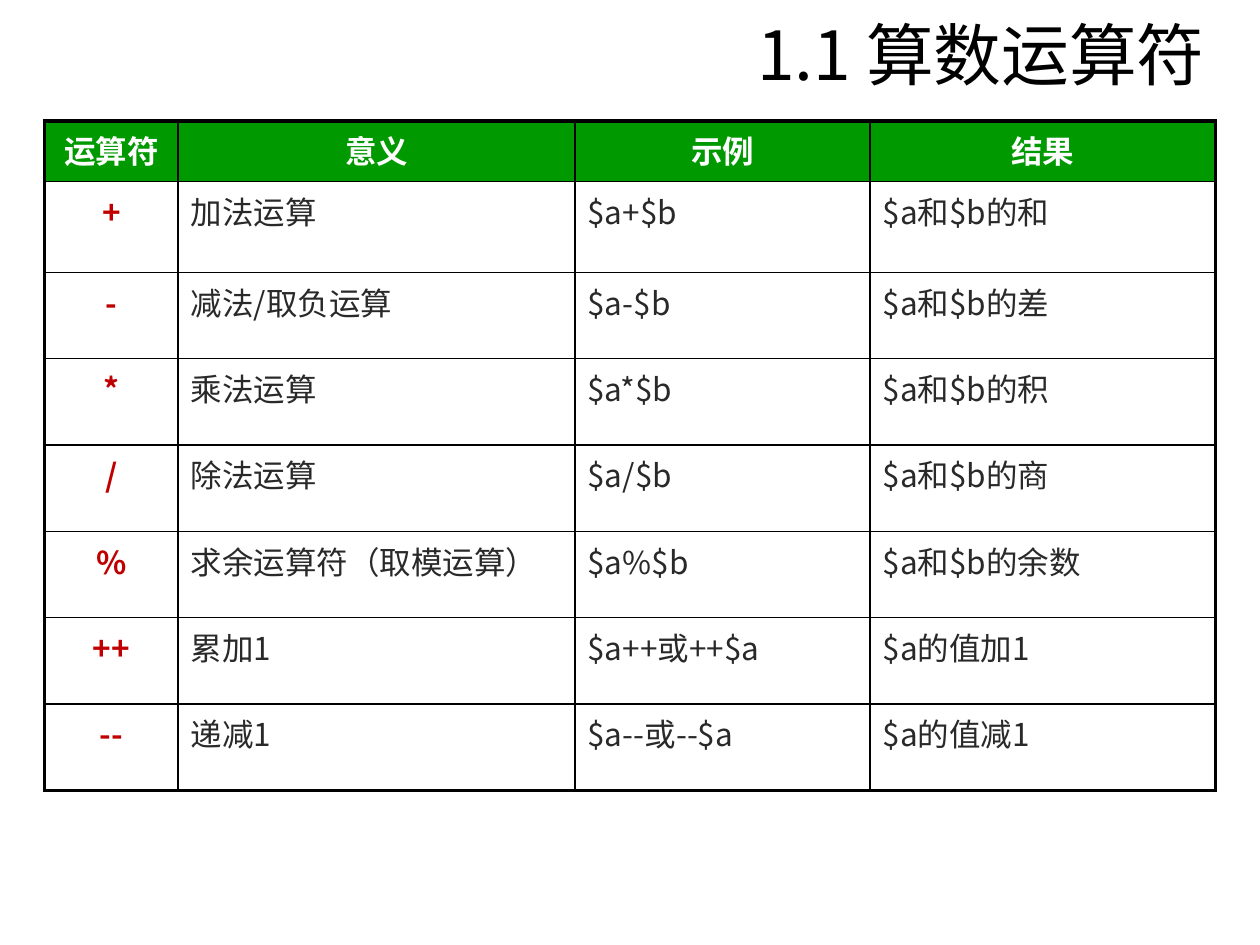
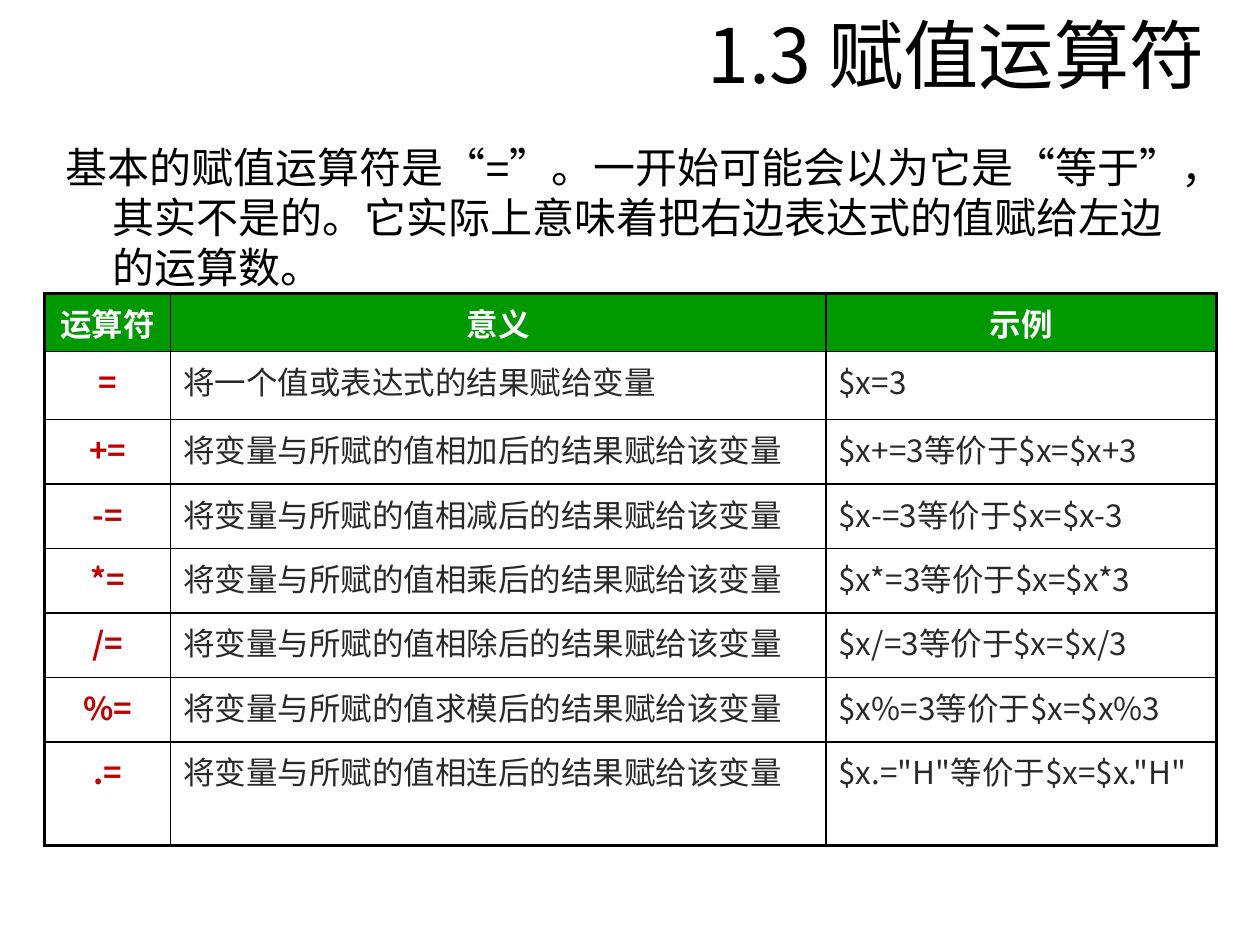
"""Build two slides that list arithmetic and assignment operators in tables."""
from lxml import etree
from pptx import Presentation, util as u
from pptx.dml.color import RGBColor
from pptx.enum import text
from pptx.oxml.ns import qn

CJK_FONT = "Noto Sans CJK SC"
BLACK, WHITE, GREEN, RED, GREY = "000000", "FFFFFF", "009900", "C00000", "292929"
OUTER_LINE, INNER_LINE = 2.25, 1
TITLE_BOX = (7.08, 0.2, 17.45, 1.75)
INTRO_BOX = (1.07, 2.72, 23.04, 3.38)
TABLE_LEFT = 0.9
HANGING_INDENT = 0.94

ASSIGNMENTS = [("+", "加"), ("-", "减"), ("*", "乘"), ("/", "除")]

SLIDES = [
    {
        "title": "1.1 算数运算符",
        "title_size": 38.7,
        "top": 2.44,
        "columns": [2.69, 8, 5.95, 6.96],
        "heights": [1.22, 1.83] + [1.74] * 6,
        "rows": [
            ("运算符", "意义", "示例", "结果"),
            ("+", "加法运算", "$a+$b", "$a和$b的和"),
            ("-", "减法/取负运算", "$a-$b", "$a和$b的差"),
            ("*", "乘法运算", "$a*$b", "$a和$b的积"),
            ("/", "除法运算", "$a/$b", "$a和$b的商"),
            ("%", "求余运算符（取模运算）", "$a%$b", "$a和$b的余数"),
            ("++", "累加1", "$a++或++$a", "$a的值加1"),
            ("--", "递减1", "$a--或--$a", "$a的值减1"),
        ],
    },
    {
        "title": "1.3 赋值运算符",
        "title_size": 43,
        "top": 5.92,
        "columns": [2.54, 13.21, 7.87],
        "heights": [1.17, 1.37] + [1.3] * 5 + [2.08],
        "rows": [
            ("运算符", "意义", "示例"),
            ("=", "将一个值或表达式的结果赋给变量", "$x=3"),
            *[(f"{sign}=", f"将变量与所赋的值相{verb}后的结果赋给该变量",
               f"$x{sign}=3等价于$x=$x{sign}3") for sign, verb in ASSIGNMENTS],
            ("%=", "将变量与所赋的值求模后的结果赋给该变量", "$x%=3等价于$x=$x%3"),
            (".=", "将变量与所赋的值相连后的结果赋给该变量", '$x.="H"等价于$x=$x."H"'),
        ],
        "intro": "基本的赋值运算符是“=”。一开始可能会以为它是“等于”，其实不是的。"
                 "它实际上意味着把右边表达式的值赋给左边的运算数。",
    },
]


def color(value):
    return RGBColor.from_string(value)


def add_run(paragraph, content, size, fill, bold=False, font=CJK_FONT):
    run = paragraph.add_run()
    run.text = content
    run.font.name = font
    run.font.size = u.Pt(size)
    run.font.bold = bold
    run.font.color.rgb = color(fill)
    properties = run.font._element
    properties.set("lang", "zh-CN")
    east_asian = etree.SubElement(properties, qn("a:ea"))
    east_asian.set("typeface", CJK_FONT)


def space_before(paragraph):
    spacing = etree.SubElement(paragraph._p.get_or_add_pPr(), qn("a:spcBef"))
    etree.SubElement(spacing, qn("a:spcPct")).set("val", "20000")


def add_text_box(slide, box, anchor):
    frame = slide.shapes.add_textbox(*map(u.Cm, box)).text_frame
    frame.word_wrap = True
    frame.vertical_anchor = anchor
    return frame.paragraphs[0]


def add_title(slide, content, size):
    paragraph = add_text_box(slide, TITLE_BOX, text.MSO_ANCHOR.MIDDLE)
    paragraph.alignment = text.PP_ALIGN.RIGHT
    add_run(paragraph, content, size, BLACK)


def add_intro(slide, content):
    paragraph = add_text_box(slide, INTRO_BOX, text.MSO_ANCHOR.TOP)
    space_before(paragraph)
    properties = paragraph._p.get_or_add_pPr()
    properties.set("marL", str(u.Cm(HANGING_INDENT)))
    properties.set("indent", str(-u.Cm(HANGING_INDENT)))
    add_run(paragraph, content, 24, BLACK, font="Arial")


def add_borders(cell, outer_sides):
    properties = cell._tc.get_or_add_tcPr()
    for side, is_outer in outer_sides.items():
        line = etree.SubElement(properties, qn(f"a:ln{side}"))
        line.set("w", str(u.Pt(OUTER_LINE if is_outer else INNER_LINE)))
        fill = etree.SubElement(line, qn("a:solidFill"))
        etree.SubElement(fill, qn("a:srgbClr")).set("val", BLACK)


def add_operator_table(slide, top, columns, heights, rows):
    frame = slide.shapes.add_table(
        len(rows), len(columns), u.Cm(TABLE_LEFT), u.Cm(top),
        u.Cm(sum(columns)), u.Cm(sum(heights)))
    table = frame.table
    table.first_row = table.horz_banding = False
    for column, width in zip(table.columns, columns):
        column.width = u.Cm(width)
    for row, height in zip(table.rows, heights):
        row.height = u.Cm(height)
    for i, row in enumerate(rows):
        for j, content in enumerate(row):
            cell = table.cell(i, j)
            is_header, is_operator = i == 0, j == 0
            add_borders(cell, {"L": j == 0, "R": j == len(columns) - 1,
                               "T": i == 0, "B": i == len(rows) - 1})
            if is_header:
                cell.fill.solid()
                cell.fill.fore_color.rgb = color(GREEN)
            else:
                cell.fill.background()
            paragraph = cell.text_frame.paragraphs[0]
            emphasized = is_header or is_operator
            paragraph.alignment = text.PP_ALIGN.CENTER if emphasized else text.PP_ALIGN.LEFT
            space_before(paragraph)
            fill = WHITE if is_header else RED if is_operator else GREY
            add_run(paragraph, content, 18, fill, bold=emphasized)


def main():
    presentation = Presentation()
    presentation.slide_width, presentation.slide_height = u.Cm(25.4), u.Cm(19.05)
    for content in SLIDES:
        slide = presentation.slides.add_slide(presentation.slide_layouts[6])
        add_title(slide, content["title"], content["title_size"])
        add_operator_table(slide, content["top"], content["columns"],
                           content["heights"], content["rows"])
        if "intro" in content:
            add_intro(slide, content["intro"])
    presentation.save("out.pptx")


if __name__ == "__main__":
    main()
